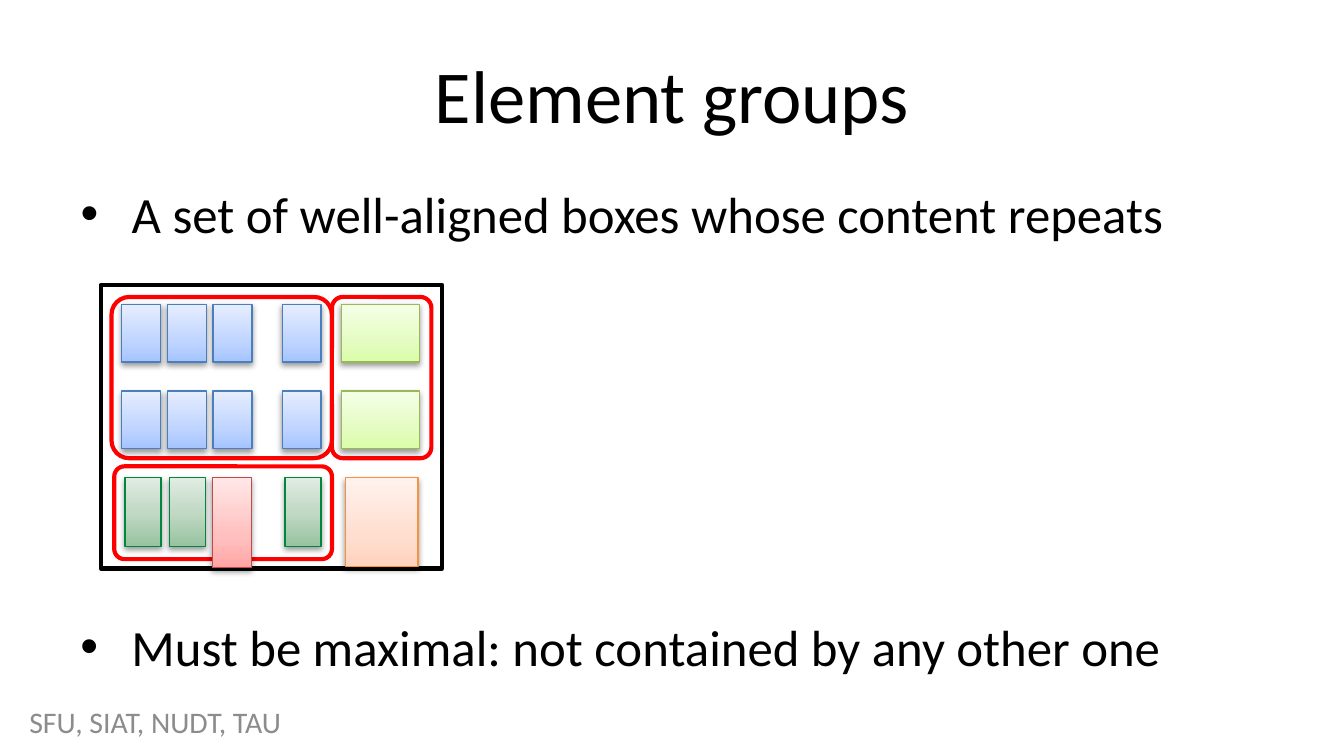
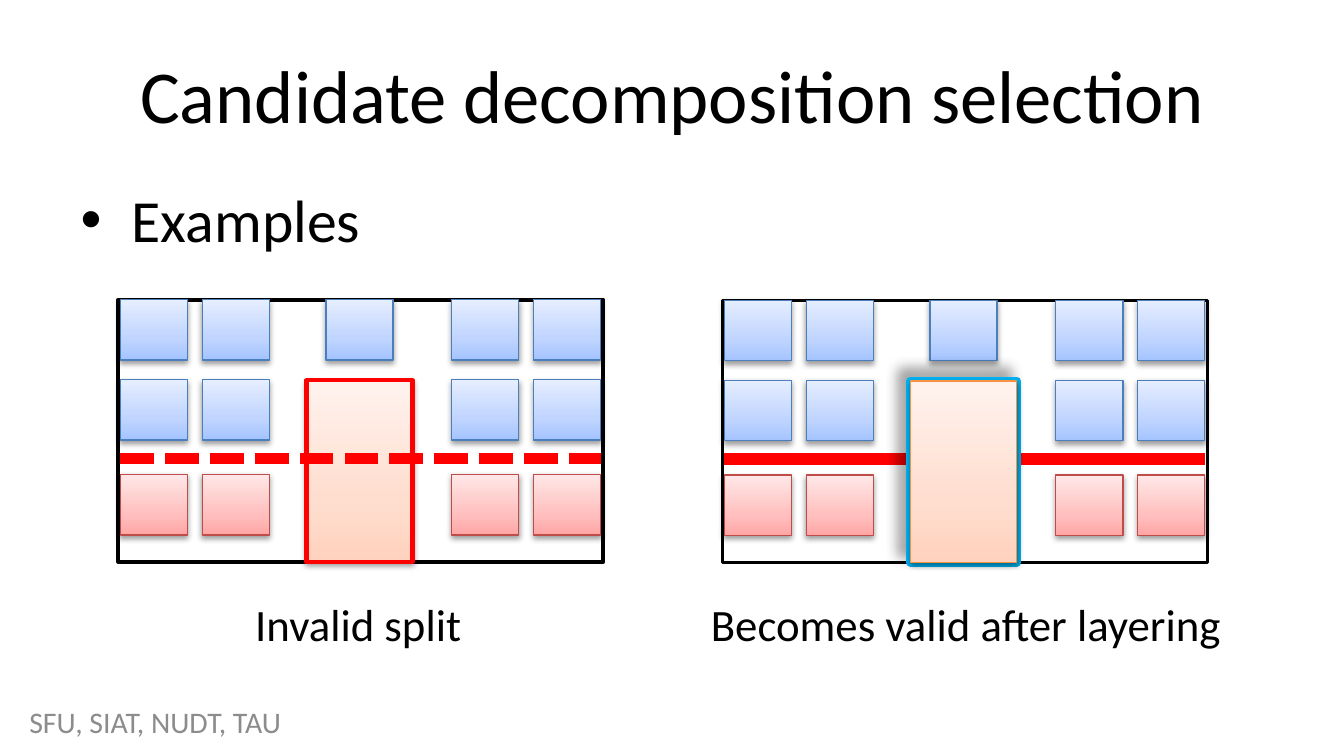
import copy

import lxml.etree
import pptx
import pptx.dml.color
import pptx.enum.dml
import pptx.enum.shapes
import pptx.enum.text
import pptx.oxml.ns
import pptx.util

FONT = "Calibri"
CELL = pptx.util.Inches(10) / 100
COLORS = {
    "text": "000000",
    "footer": "8C8C8C",
    "frame": "000000",
    "highlight": "FF0000",
    "lifted": "FFB689",
    "lifted_edge": "00B0F0",
}
TILES = {
    "blue": {"edge": "4B7EBC", "stops": ((0, "A4C4FF"), (0.35, "BFD4FF"), (1, "E6EEFF"))},
    "red": {"edge": "BF4C48", "stops": ((0, "FFA6A5"), (0.35, "FFC0BF"), (1, "FFE7E7"))},
    "green": {"edge": "00863D", "stops": ((0, "97C39F"), (0.5, "C1D9C5"), (1, "E1ECE3"))},
    "lime": {"edge": "98B955", "stops": ((0, "DAFDA7"), (0.35, "E4FCC2"), (1, "F5FFE7"))},
    "orange": {"edge": "F69240", "stops": ((0, "FFD2BD"), (0.35, "FFDED0"), (1, "FFF2ED"))},
}
PANEL_WIDTH, PANEL_HEIGHT = 36.1, 19.5
BLOCK = (14, 6, 7.9, 13.5)
SPLIT_ROW = 11.8


def grid(*cells):
    """Turn counts of grid cells, a hundredth of the slide width each, into lengths."""
    return [pptx.util.Emu(round(count * CELL)) for count in cells]


def rgb(value):
    """Return a colour object for a hex string."""
    return pptx.dml.color.RGBColor.from_string(value)


def add_xml(parent, tag, **attributes):
    """Append a drawing element with the given attributes."""
    values = {name: str(value) for name, value in attributes.items()}
    return lxml.etree.SubElement(parent, pptx.oxml.ns.qn(tag), values)


def write(shape, text, size=24, color="text", align="LEFT", anchor="TOP", bullet=False):
    """Put one formatted paragraph into a shape."""
    frame = shape.text_frame
    frame.word_wrap = True
    frame.auto_size = pptx.enum.text.MSO_AUTO_SIZE.NONE
    frame.vertical_anchor = getattr(pptx.enum.text.MSO_ANCHOR, anchor)
    paragraph = frame.paragraphs[0]
    if bullet:
        properties = paragraph._p.get_or_add_pPr()
        indent = pptx.util.Inches(0.38)
        properties.set("marL", str(indent))
        properties.set("indent", str(-indent))
        add_xml(properties, "a:buFont", typeface="Arial")
        add_xml(properties, "a:buChar", char="•")
    paragraph.space_before = pptx.util.Pt(0)
    paragraph.alignment = getattr(pptx.enum.text.PP_ALIGN, align)
    run = paragraph.add_run()
    run.text = text
    run.font.name = FONT
    run.font.size = pptx.util.Pt(size)
    run.font.color.rgb = rgb(COLORS[color])


def add_text(slide, cells, text, **style):
    """Add a text box on the grid."""
    write(slide.shapes.add_textbox(*grid(*cells)), text, **style)


def fill_placeholder(placeholder, cells, text, **style):
    """Move a placeholder on the grid and write into it."""
    placeholder.left, placeholder.top, placeholder.width, placeholder.height = grid(*cells)
    write(placeholder, text, **style)


def add_slide(presentation, title, lead, lead_size, body_cells):
    """Add a slide with its title, leading bullet and footer."""
    slide = presentation.slides.add_slide(presentation.slide_layouts[1])
    fill_placeholder(slide.shapes.title, (5, 2.3, 90, 9.4), title,
                     size=40, align="CENTER", anchor="MIDDLE")
    fill_placeholder(slide.placeholders[1], body_cells, lead, size=lead_size, bullet=True)
    add_text(slide, (1.2, 52.2, 23.6, 3), "SFU, SIAT, NUDT, TAU",
             size=16, color="footer", anchor="MIDDLE")
    return slide


def add_box(slide, cells, edge, width, rounded=False):
    """Add an unfilled rectangle with an outline."""
    kinds = pptx.enum.shapes.MSO_SHAPE
    kind = kinds.ROUNDED_RECTANGLE if rounded else kinds.RECTANGLE
    shape = slide.shapes.add_shape(kind, *grid(*cells))
    if rounded:
        shape.adjustments[0] = 0.11
    shape.shadow.inherit = False
    shape.fill.background()
    shape.line.color.rgb = rgb(edge)
    shape.line.width = pptx.util.Pt(width)
    return shape


def add_shadow(shape, opacity, blur, distance, angle):
    """Give a shape an outer black shadow."""
    effects = shape._element.spPr.find(pptx.oxml.ns.qn("a:effectLst"))
    shadow = add_xml(effects, "a:outerShdw", blurRad=pptx.util.Pt(blur),
                     dist=pptx.util.Pt(distance), dir=angle * 60000, rotWithShape=0)
    add_xml(add_xml(shadow, "a:srgbClr", val="000000"), "a:alpha", val=opacity * 1000)


def add_tile(slide, cells, kind):
    """Add a gradient tile with a soft shadow below."""
    tile = TILES[kind]
    shape = add_box(slide, cells, tile["edge"], 0.75)
    shape.fill.gradient()
    shape.fill.gradient_angle = 90
    stop_list = next(shape._element.spPr.iter(pptx.oxml.ns.qn("a:gsLst")))
    stop_list.append(copy.deepcopy(stop_list[0]))
    for stop, (position, color) in zip(shape.fill.gradient_stops, tile["stops"]):
        stop.position = position
        stop.color.rgb = rgb(color)
    add_shadow(shape, 38, 3.1, 1.6, 90)


def add_tiles(slide, columns, rows, size, kind):
    """Add a tile at every crossing of the columns and rows."""
    for top in rows:
        for left in columns:
            add_tile(slide, (left, top, *size), kind)


def add_lifted_block(slide, cells):
    """Add the translucent blue-edged block that lies on a higher layer."""
    shape = add_box(slide, cells, COLORS["lifted_edge"], 4.5)
    shape.fill.solid()
    shape.fill.fore_color.rgb = rgb(COLORS["lifted"])
    color = next(shape._element.spPr.iter(pptx.oxml.ns.qn("a:srgbClr")))
    add_xml(color, "a:alpha", val=74000)
    add_shadow(shape, 40, 7, 7, 225)


def add_split(slide, left, top, dashed=False):
    """Add the red horizontal split across a panel."""
    row = top + SPLIT_ROW
    ends = grid(left + 0.15, row, left + PANEL_WIDTH - 0.2, row)
    line = slide.shapes.add_connector(pptx.enum.shapes.MSO_CONNECTOR.STRAIGHT, *ends)
    line.line.color.rgb = rgb(COLORS["highlight"])
    line.line.width = pptx.util.Pt(6)
    if dashed:
        line.line.dash_style = pptx.enum.dml.MSO_LINE.SQUARE_DOT
    add_xml(line._element.spPr, "a:effectLst")


def add_panel(slide, left, top):
    """Add a framed panel with its blue and red tiles."""
    size = (5, 4.5)
    columns = [left + side + step * 6.1 for side in (0.15, 24.8) for step in range(2)]
    add_box(slide, (left, top, PANEL_WIDTH, PANEL_HEIGHT), COLORS["frame"], 2)
    add_tiles(slide, columns, (top, top + 5.95), size, "blue")
    add_tiles(slide, columns, (top + 13,), size, "red")
    add_tile(slide, (left + 15.45, top, *size), "blue")


def block_cells(left, top):
    """Return the place of the tall block in a panel."""
    return (left + BLOCK[0], top + BLOCK[1], *BLOCK[2:])


def build_groups(presentation):
    """Build the slide on element groups."""
    slide = add_slide(presentation, "Element groups",
                      "A set of well-aligned boxes whose content repeats",
                      27.2, (5, 13.1, 86.7, 7.9))
    add_box(slide, (7.5, 21.2, 25.4, 21.1), COLORS["frame"], 2.25)
    for cells in ((8.3, 22.1, 16.4, 12), (24.7, 22.1, 7.4, 12), (8.5, 34.7, 16.2, 6.9)):
        add_box(slide, cells, COLORS["highlight"], 2.25, rounded=True)
    rows = (22.65, 29.1)
    add_tiles(slide, (9.05, 12.45, 15.85, 21), rows, (2.9, 4.3), "blue")
    add_tiles(slide, (25.4,), rows, (5.8, 4.3), "lime")
    add_tiles(slide, (9.3, 12.6, 21.2), (35.55,), (2.7, 5.1), "green")
    add_tile(slide, (15.8, 35.55, 2.9, 6.7), "red")
    add_tile(slide, (25.7, 35.55, 5.4, 6.6), "orange")
    add_text(slide, (5, 45.3, 86.7, 4.7),
             "Must be maximal: not contained by any other one", size=27.2, bullet=True)


def build_selection(presentation):
    """Build the slide on candidate decomposition selection."""
    slide = add_slide(presentation, "Candidate decomposition selection",
                      "Examples", 32, (5, 13.1, 90, 37.1))
    invalid, valid = (8.8, 22.3), (53.75, 22.35)
    add_panel(slide, *invalid)
    add_tile(slide, block_cells(*invalid), "orange")
    add_split(slide, *invalid, dashed=True)
    add_box(slide, block_cells(*invalid), COLORS["highlight"], 2.25)
    add_text(slide, (17.2, 43.9, 18.9, 5), "Invalid split", align="CENTER")

    add_split(slide, *valid)
    add_panel(slide, *valid)
    add_lifted_block(slide, block_cells(*valid))
    add_tile(slide, block_cells(*valid), "orange")
    add_text(slide, (51.4, 43.9, 40.9, 5), "Becomes valid after layering", align="CENTER")


def main():
    """Build and save the presentation."""
    presentation = pptx.Presentation()
    presentation.slide_width, presentation.slide_height = grid(100, 56.25)
    build_groups(presentation)
    build_selection(presentation)
    presentation.save("out.pptx")


if __name__ == "__main__":
    main()
